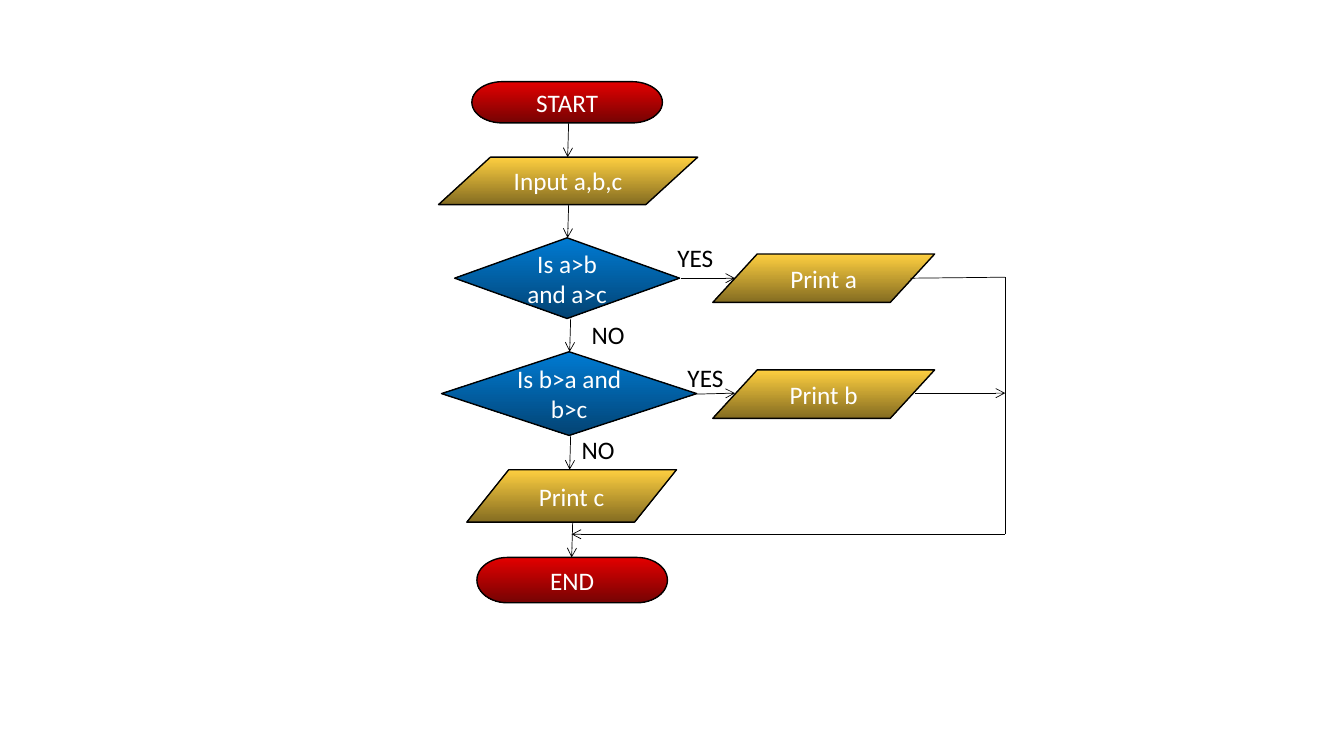
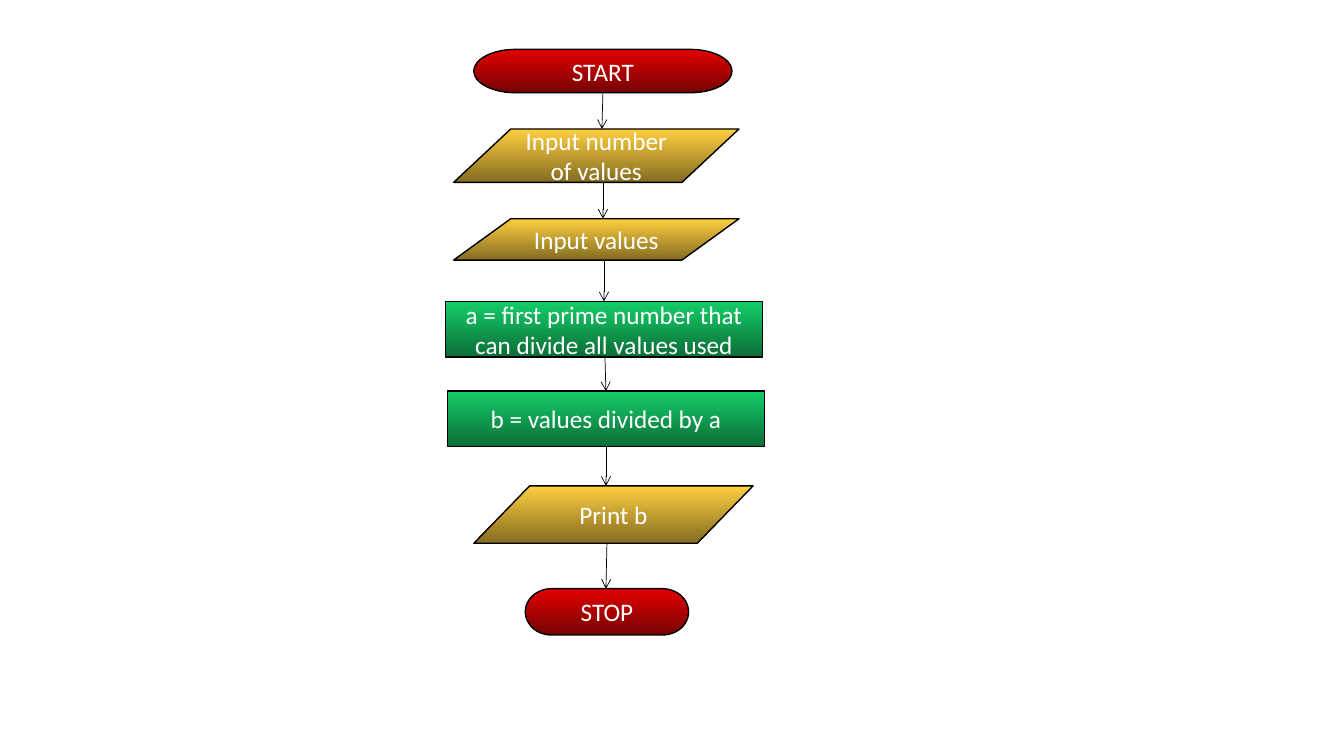
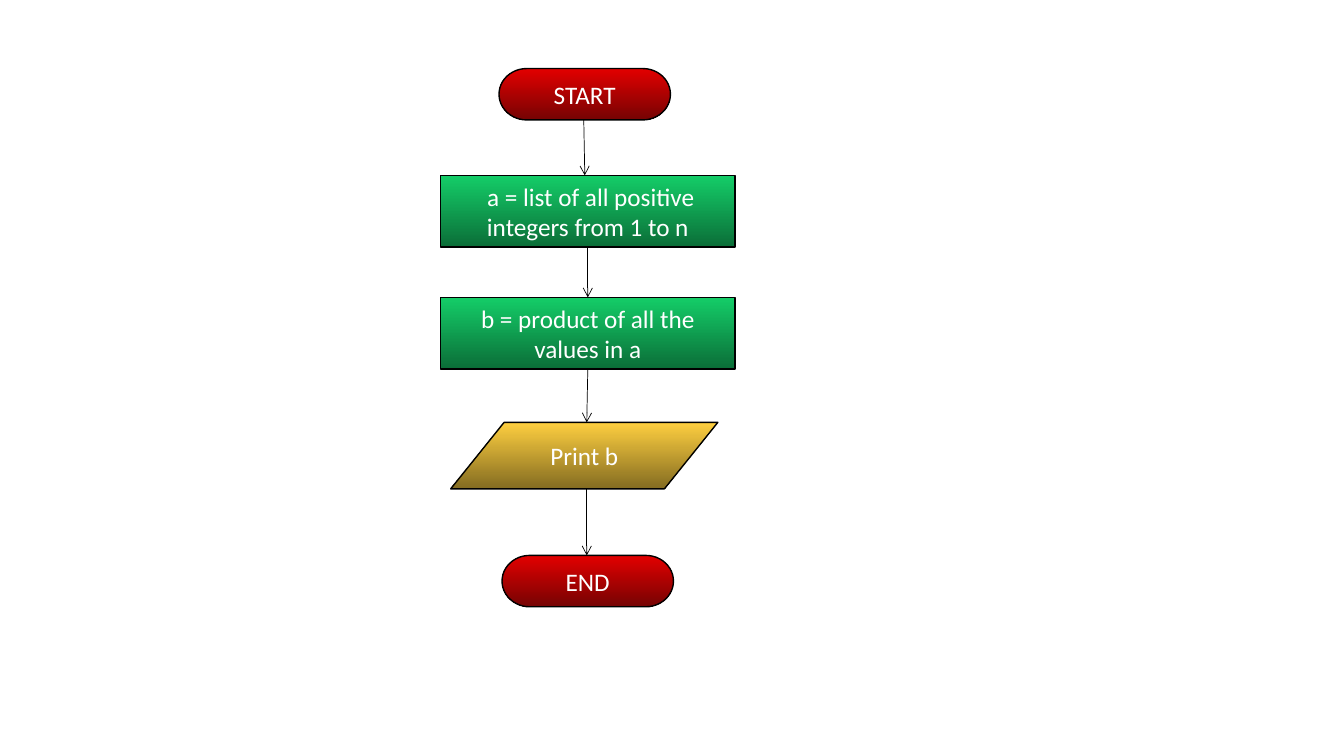
"""Build three slides of flow charts."""
import dataclasses
import itertools
import typing

import lxml.etree
import pptx
import pptx.dml.color
import pptx.enum.shapes
import pptx.enum.text
import pptx.oxml.ns
import pptx.util

Inches = pptx.util.Inches
Pt = pptx.util.Pt
Shape = pptx.enum.shapes.MSO_SHAPE

FONT = "Calibri"
BLACK = "000000"
WHITE = "FFFFFF"


@dataclasses.dataclass(frozen=True)
class Style:
    form: typing.Any
    top: str
    base: str


RED = ("E30000", "760303")
GREEN = ("14CD68", "0B6E38")
ENDS = Style(Shape.FLOWCHART_TERMINATOR, *RED)
DATA = Style(Shape.FLOWCHART_DATA, "FECF40", "846C21")
TEST = Style(Shape.FLOWCHART_DECISION, "007BD3", "034373")
WORK = Style(Shape.FLOWCHART_PROCESS, *GREEN)
BLOCK = Style(Shape.RECTANGLE, *GREEN)


class Step(typing.NamedTuple):
    style: Style
    left: float
    top: float
    width: float
    height: float
    text: str


class Link(typing.NamedTuple):
    x1: float
    y1: float
    x2: float
    y2: float
    arrow: bool = True


class Label(typing.NamedTuple):
    left: float
    top: float
    width: float
    text: str


@dataclasses.dataclass(frozen=True)
class Flow:
    steps: list[Step]
    drops: list[tuple[float, float]]
    sides: list[Step] = dataclasses.field(default_factory=list)
    links: list[Link] = dataclasses.field(default_factory=list)
    labels: list[Label] = dataclasses.field(default_factory=list)


FLOWS = [
    Flow(
        steps=[
            Step(ENDS, 4.68, 0.81, 1.89, 0.41, "START"),
            Step(DATA, 4.35, 1.56, 2.57, 0.47, "Input a,b,c"),
            Step(TEST, 4.51, 2.36, 2.23, 0.8, "Is a>b and a>c"),
            Step(TEST, 4.38, 3.49, 2.53, 0.83, "Is b>a and b>c"),
            Step(DATA, 4.63, 4.66, 2.08, 0.52, "Print c"),
            Step(ENDS, 4.73, 5.53, 1.89, 0.45, "END"),
        ],
        drops=[(5.64, 5.63), (5.64, 5.63), (5.66, 5.65), (5.66, 5.65), (5.68, 5.67)],
        sides=[
            Step(DATA, 7.07, 2.52, 2.2, 0.48, "Print a"),
            Step(DATA, 7.07, 3.67, 2.2, 0.48, "Print b"),
        ],
        links=[
            Link(6.75, 2.76, 7.29, 2.76),
            Link(6.91, 3.91, 7.29, 3.9),
            Link(9.03, 2.76, 9.97, 2.75, False),
            Link(9.97, 2.75, 9.97, 5.3, False),
            Link(9.08, 3.9, 9.97, 3.9),
            Link(9.97, 5.3, 5.67, 5.3),
        ],
        labels=[
            Label(6.62, 2.36, 0.71, "YES"),
            Label(6.72, 3.55, 0.71, "YES"),
            Label(5.77, 3.12, 0.59, "NO"),
            Label(5.67, 4.26, 0.59, "NO"),
        ],
    ),
    Flow(
        steps=[
            Step(ENDS, 4.7, 0.49, 2.56, 0.43, "START"),
            Step(DATA, 4.5, 1.28, 2.83, 0.53, "Input number of values"),
            Step(DATA, 4.5, 2.17, 2.83, 0.41, "Input values"),
            Step(WORK, 4.42, 2.99, 3.14, 0.55,
                 "a = first prime number that can divide all values used"),
            Step(WORK, 4.44, 3.88, 3.14, 0.55, "b = values divided by a"),
            Step(DATA, 4.7, 4.82, 2.77, 0.57, "Print b"),
            Step(ENDS, 5.21, 5.84, 1.62, 0.46, "STOP"),
        ],
        drops=[(5.98, 5.97), (5.98, 5.98), (5.99, 5.99),
               (6, 6.01), (6.01, 6.01), (6.02, 6.01)],
    ),
    Flow(
        steps=[
            Step(ENDS, 4.95, 0.68, 1.7, 0.51, "START"),
            Step(BLOCK, 4.37, 1.74, 2.92, 0.71,
                 " a = list of all positive integers from 1 to n"),
            Step(BLOCK, 4.37, 2.95, 2.92, 0.71, "b = product of all the values in a"),
            Step(DATA, 4.47, 4.19, 2.65, 0.66, "Print b"),
            Step(ENDS, 4.98, 5.51, 1.7, 0.51, "END"),
        ],
        drops=[(5.79, 5.8), (5.83, 5.83), (5.83, 5.82), (5.82, 5.82)],
    ),
]


def paint(code: str) -> pptx.dml.color.RGBColor:
    return pptx.dml.color.RGBColor.from_string(code)


def write(frame: typing.Any, text: str, code: str, align: typing.Any) -> None:
    frame.word_wrap = True
    frame.text = text
    for para in frame.paragraphs:
        para.alignment = align
        for run in para.runs:
            run.font.name = FONT
            run.font.size = Pt(18)
            run.font.color.rgb = paint(code)


def draw_step(slide: typing.Any, step: Step) -> None:
    box = slide.shapes.add_shape(
        step.style.form, Inches(step.left), Inches(step.top),
        Inches(step.width), Inches(step.height))
    box.shadow.inherit = False
    box.fill.gradient()
    box.fill.gradient_angle = 270
    for stop, code, place in zip(
            box.fill.gradient_stops, (step.style.top, step.style.base), (0, 1)):
        stop.color.rgb = paint(code)
        stop.position = place
    box.line.color.rgb = paint(BLACK)
    box.line.width = Pt(1)
    box.text_frame.vertical_anchor = pptx.enum.text.MSO_ANCHOR.MIDDLE
    write(box.text_frame, step.text, WHITE, pptx.enum.text.PP_ALIGN.CENTER)


def draw_link(slide: typing.Any, link: Link) -> None:
    line = slide.shapes.add_connector(
        pptx.enum.shapes.MSO_CONNECTOR.STRAIGHT, Inches(link.x1), Inches(link.y1),
        Inches(link.x2), Inches(link.y2))
    line.line.color.rgb = paint(BLACK)
    line.line.width = Pt(0.5)
    qn = pptx.oxml.ns.qn
    props = line.element.spPr
    if link.arrow:
        lxml.etree.SubElement(props.find(qn("a:ln")), qn("a:tailEnd"), type="arrow")
    lxml.etree.SubElement(props, qn("a:effectLst"))


def draw_label(slide: typing.Any, label: Label) -> None:
    box = slide.shapes.add_textbox(
        Inches(label.left), Inches(label.top), Inches(label.width), Inches(0.4))
    write(box.text_frame, label.text, BLACK, pptx.enum.text.PP_ALIGN.LEFT)
    box.text_frame.auto_size = pptx.enum.text.MSO_AUTO_SIZE.SHAPE_TO_FIT_TEXT


def draw_flow(slide: typing.Any, flow: Flow) -> None:
    for step in flow.steps + flow.sides:
        draw_step(slide, step)
    for (prev, step), (x1, x2) in zip(itertools.pairwise(flow.steps), flow.drops):
        draw_link(slide, Link(x1, prev.top + prev.height, x2, step.top))
    for link in flow.links:
        draw_link(slide, link)
    for label in flow.labels:
        draw_label(slide, label)


def main() -> None:
    deck = pptx.Presentation()
    deck.slide_width = Inches(13.33)
    deck.slide_height = Inches(7.5)
    for flow in FLOWS:
        draw_flow(deck.slides.add_slide(deck.slide_layouts[6]), flow)
    deck.save("out.pptx")


if __name__ == "__main__":
    main()
